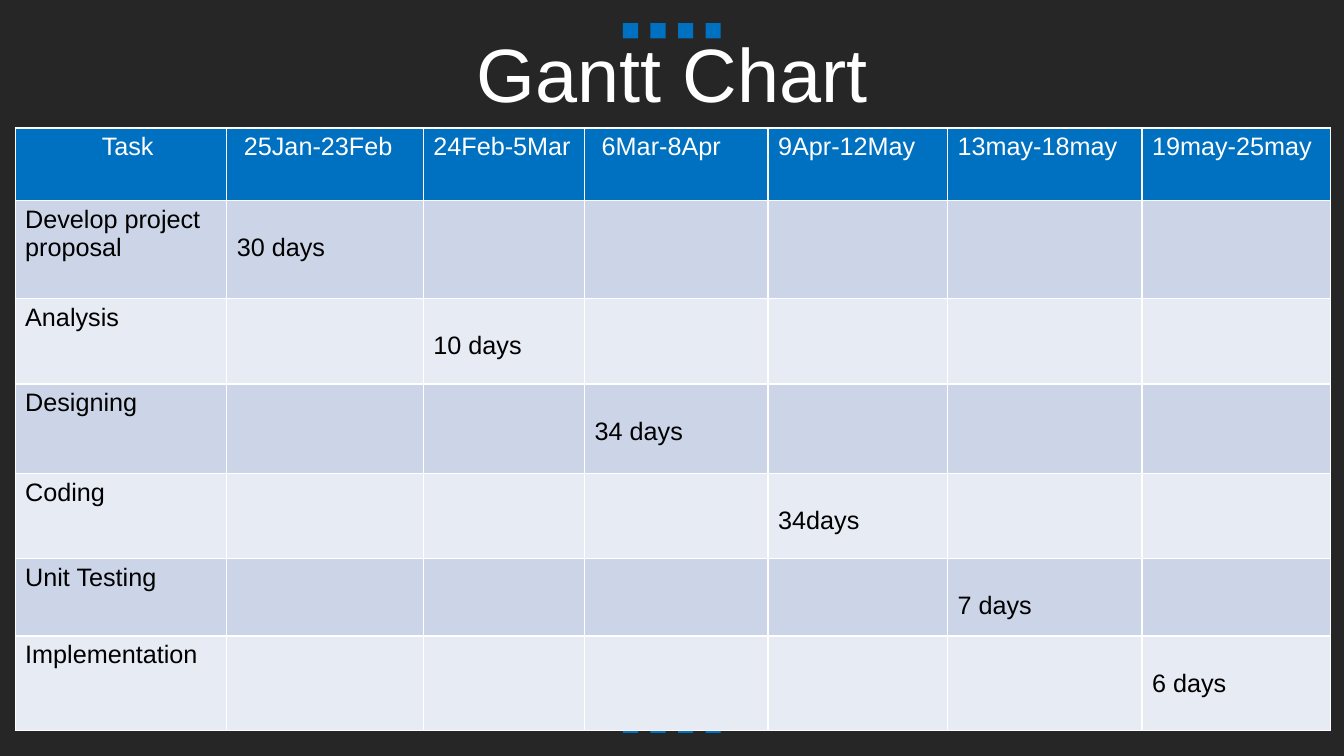
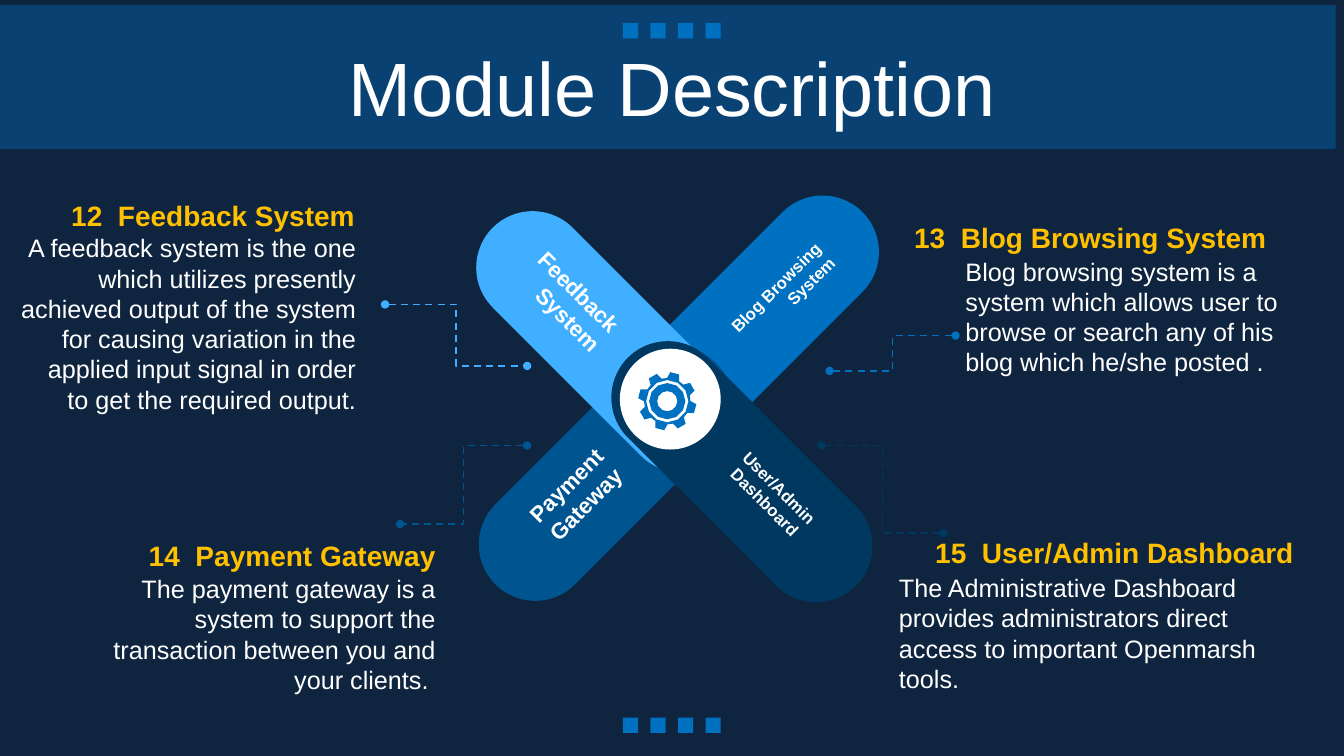
from math import cos, radians, sin

from pptx import Presentation
from pptx.dml.color import RGBColor
from pptx.enum.dml import MSO_LINE
from pptx.enum.shapes import MSO_CONNECTOR, MSO_SHAPE
from pptx.enum.text import MSO_ANCHOR, MSO_AUTO_SIZE, PP_ALIGN
from pptx.oxml.ns import qn
from pptx.oxml.xmlchemy import OxmlElement
from pptx.util import Inches, Pt

FONT = "Arial"
CHARCOAL = RGBColor(0x26, 0x26, 0x26)
NAVY = RGBColor(0x0F, 0x24, 0x3E)
BLUE = RGBColor(0x00, 0x70, 0xC0)
MID_BLUE = RGBColor(0x00, 0x54, 0x90)
DARK_BLUE = RGBColor(0x00, 0x38, 0x60)
LIGHT_BLUE = RGBColor(0x40, 0xAF, 0xFF)
ROW_DARK = RGBColor(0xCC, 0xD5, 0xE8)
ROW_LIGHT = RGBColor(0xE7, 0xEB, 0xF4)
GOLD = RGBColor(0xFF, 0xC0, 0x00)
WHITE = RGBColor(0xFF, 0xFF, 0xFF)
BLACK = RGBColor(0x00, 0x00, 0x00)

LEFT, CENTER, RIGHT = PP_ALIGN.LEFT, PP_ALIGN.CENTER, PP_ALIGN.RIGHT
RECTANGLE = MSO_SHAPE.RECTANGLE
PILL = MSO_SHAPE.ROUNDED_RECTANGLE
OVAL = MSO_SHAPE.OVAL
ELBOW = MSO_CONNECTOR.ELBOW
DASH = MSO_LINE.DASH
MIDDLE = MSO_ANCHOR.MIDDLE
GROW = MSO_AUTO_SIZE.SHAPE_TO_FIT_TEXT

# Heading and its left margin
PERIODS = [
    ("Task", 0.86), ("25Jan-23Feb", 0.17), ("24Feb-5Mar", 0.1),
    ("6Mar-8Apr", 0.17), ("9Apr-12May", 0.1), ("13may-18may", 0.1),
    ("19may-25may", 0.1),
]
TASKS = [
    ("Develop project proposal", "30 days"), ("Analysis", "10 days"),
    ("Designing", "34 days"), ("Coding", "34days"),
    ("Unit Testing", "7 days"), ("Implementation", "6 days"),
]
COLUMN_WIDTHS = [2.1, 1.95, 1.6, 1.82, 1.78, 1.93, 1.87]
ROW_HEIGHTS = [0.72, 0.97, 0.85, 0.89, 0.84, 0.77, 0.94]

# Box, rotation, colour
ARMS = [
    ((6.9, 1.65, 1.12, 3.1), 45, BLUE),
    ((5.45, 3.15, 1.12, 3.1), 225, MID_BLUE),
    ((5.46, 1.79, 1.12, 3.2), 315, LIGHT_BLUE),
    ((6.8, 3.08, 1.12, 3.2), 135, DARK_BLUE),
]
# Text, box, rotation, size, alignment
ARM_LABELS = [
    ("Feedback System", (4.84, 2.59, 1.45, 0.64), 45, 16, RIGHT),
    ("Payment Gateway", (4.98, 4.66, 1.32, 0.64), 315, 16, RIGHT),
    ("User/Admin Dashboard", (7.06, 4.66, 1.2, 0.5), 45, 12, CENTER),
    ("Blog Browsing System", (7.11, 2.66, 1.45, 0.77), 315, 12, RIGHT),
]
# Heading, its box, description, its box, alignment
MODULES = [
    ("12 Feedback System", (0.09, 1.92, 3.53, 0.44),
     "A feedback system is the one which utilizes presently achieved output "
     "of the system for causing variation in the applied input signal in "
     "order to get the required output.",
     (0.1, 2.26, 3.53, 1.92), RIGHT),
    ("13 Blog Browsing System", (8.97, 2.14, 3.82, 0.44),
     "Blog browsing system is a system which allows user to browse or search "
     "any of his blog which he/she posted .",
     (9.48, 2.49, 3.52, 1.31), LEFT),
    ("14 Payment Gateway", (0.89, 5.29, 3.53, 0.44),
     "The payment gateway is a system to support the transaction between you "
     "and your clients. ",
     (0.89, 5.64, 3.53, 1.31), RIGHT),
    ("15 User/Admin Dashboard", (9.18, 5.26, 3.92, 0.44),
     "The Administrative Dashboard provides administrators direct access to "
     "important Openmarsh tools.",
     (8.82, 5.63, 4.23, 1.31), LEFT),
]
# Start and end, colour
LINKS = [
    ((8.15, 4.42, 9.36, 5.29), DARK_BLUE),
    ((3.82, 3.02, 5.23, 3.63), LIGHT_BLUE),
    ((5.23, 4.42, 3.97, 5.2), MID_BLUE),
    ((8.23, 3.68, 9.48, 3.33), BLUE),
]


def inches(values):
    return [Inches(value) for value in values]


def write_text(frame, text, size=18, color=WHITE, bold=False, align=LEFT,
               number_gap=0):
    """Fill the first paragraph; number_gap widens the first space, in points."""
    para = frame.paragraphs[0]
    para.alignment = align
    for piece in text.partition(" ") if number_gap else [text]:
        span = para.add_run()
        span.text = piece
        span.font.name = FONT
        span.font.size = Pt(size)
        span.font.bold = bold
        span.font.color.rgb = color
        if piece == " ":
            span.font._element.set("spc", str(round(number_gap * 100)))
    return para


def add_text(slide, text, box, rotation=0, **text_format):
    shape = slide.shapes.add_textbox(*inches(box))
    shape.rotation = rotation
    shape.text_frame.word_wrap = True
    shape.text_frame.auto_size = GROW
    write_text(shape.text_frame, text, **text_format)


def paint(shape, color):
    shape.shadow.inherit = False
    shape.fill.solid()
    shape.fill.fore_color.rgb = color
    shape.line.fill.background()


def add_block(slide, kind, box, color, rotation=0):
    shape = slide.shapes.add_shape(kind, *inches(box))
    shape.rotation = rotation
    paint(shape, color)
    return shape


def add_band(slide):
    """Translucent strip behind the title."""
    band = add_block(slide, RECTANGLE, (-0.08, 0.05, 13.33, 1.43), BLUE)
    alpha = OxmlElement("a:alpha")
    alpha.set("val", "40000")
    band._element.spPr.find(qn("a:solidFill"))[0].append(alpha)


def add_title(slide, text, top):
    shape = slide.shapes.add_textbox(*inches((0.34, top, 12.66, 0.79)))
    frame = shape.text_frame
    frame.word_wrap = True
    frame.vertical_anchor = MIDDLE
    para = write_text(frame, text, size=54, align=CENTER)
    para.line_spacing = 0.9
    para.space_before = Pt(10)


def start_slide(deck, background):
    slide = deck.slides.add_slide(deck.slide_layouts[6])
    slide.background.fill.solid()
    slide.background.fill.fore_color.rgb = background
    return slide


def move_squares_to_master(deck, slide):
    """Draw the rows of small squares, then hand them to the slide master."""
    master_tree = deck.slide_master.shapes._spTree
    for row, top in enumerate((0.23, 7.12)):
        for index in range(4):
            box = (6.18 + 0.82 / 3 * index, top, 0.15, 0.15)
            square = add_block(slide, RECTANGLE, box, BLUE)._element
            square.nvSpPr.cNvPr.set("id", str(100 + 4 * row + index))
            master_tree.append(square)


def add_borders(cell):
    """White 1 pt lines; they must come before the cell's fill."""
    properties = cell._tc.get_or_add_tcPr()
    for side in ("a:lnL", "a:lnR", "a:lnT", "a:lnB"):
        line = OxmlElement(side)
        line.set("w", str(Pt(1)))
        fill = OxmlElement("a:solidFill")
        color = OxmlElement("a:srgbClr")
        color.set("val", str(WHITE))
        fill.append(color)
        line.append(fill)
        properties.append(line)


def row_color(row):
    if row == 0:
        return BLUE
    return ROW_DARK if row % 2 else ROW_LIGHT


def add_schedule(slide):
    box = (0.15, 1.27, sum(COLUMN_WIDTHS), sum(ROW_HEIGHTS))
    table = slide.shapes.add_table(
        len(ROW_HEIGHTS), len(COLUMN_WIDTHS), *inches(box)).table
    table.first_row = table.horz_banding = False
    for column, width in zip(table.columns, COLUMN_WIDTHS):
        column.width = Inches(width)
    for index, height in enumerate(ROW_HEIGHTS):
        table.rows[index].height = Inches(height)
        for cell in table.rows[index].cells:
            add_borders(cell)
            cell.fill.solid()
            cell.fill.fore_color.rgb = row_color(index)
    for column, (period, margin) in enumerate(PERIODS):
        cell = table.cell(0, column)
        cell.margin_left = Inches(margin)
        write_text(cell.text_frame, period)
    for row, (task, days) in enumerate(TASKS, start=1):
        write_text(table.cell(row, 0).text_frame, task, color=BLACK)
        duration = table.cell(row, row)
        duration.margin_top = Inches(0.33)
        write_text(duration.text_frame, days, color=BLACK)


def add_link(slide, ends, color):
    """Dashed elbow line with a dot at each end."""
    link = slide.shapes.add_connector(ELBOW, *inches(ends))
    link.line.color.rgb = color
    link.line.width = Pt(1.25)
    link.line.dash_style = DASH
    properties = link._element.spPr
    for end in ("a:headEnd", "a:tailEnd"):
        dot = OxmlElement(end)
        dot.set("type", "oval")
        properties.find(qn("a:ln")).append(dot)
    properties.append(OxmlElement("a:effectLst"))


def add_gear(slide, center_x, center_y):
    def point(radius, degrees):
        angle = radians(degrees)
        return (Inches(center_x + radius * cos(angle)),
                Inches(center_y + radius * sin(angle)))

    tooth = [(0.23, -15.5), (0.29, -9), (0.29, 9), (0.23, 15.5)]
    teeth = [point(radius, 15 + 45 * index + offset)
             for index in range(8) for radius, offset in tooth]
    rings = [[point(radius, degrees) for degrees in range(0, 360, 30)]
             for radius in (0.21, 0.18, 0.1)]
    builder = slide.shapes.build_freeform(*teeth[0])
    builder.add_line_segments(teeth[1:])
    for ring in rings:
        builder.move_to(*ring[0])
        builder.add_line_segments(ring[1:])
    paint(builder.convert_to_shape(), BLUE)


def build_gantt_slide(deck):
    slide = start_slide(deck, CHARCOAL)
    move_squares_to_master(deck, slide)
    add_title(slide, "Gantt Chart", 0.38)
    add_schedule(slide)


def build_module_slide(deck):
    slide = start_slide(deck, NAVY)
    add_band(slide)
    add_title(slide, "Module Description", 0.52)
    for box, rotation, color in ARMS:
        arm = add_block(slide, PILL, box, color, rotation)
        arm.adjustments[0] = 0.5
    add_block(slide, OVAL, (6.15, 3.46, 1, 1), WHITE)
    add_gear(slide, 6.62, 3.98)
    for heading, heading_box, description, box, align in MODULES:
        add_text(slide, heading, heading_box, size=20, color=GOLD, bold=True,
                 align=align, number_gap=5.56)
        add_text(slide, description, box, align=align)
    for ends, color in LINKS:
        add_link(slide, ends, color)
    for label, box, rotation, size, align in ARM_LABELS:
        add_text(slide, label, box, rotation, size=size, bold=True, align=align)


def main():
    deck = Presentation()
    deck.slide_width = Inches(40 / 3)
    deck.slide_height = Inches(7.5)
    build_gantt_slide(deck)
    build_module_slide(deck)
    deck.save("out.pptx")


if __name__ == "__main__":
    main()
